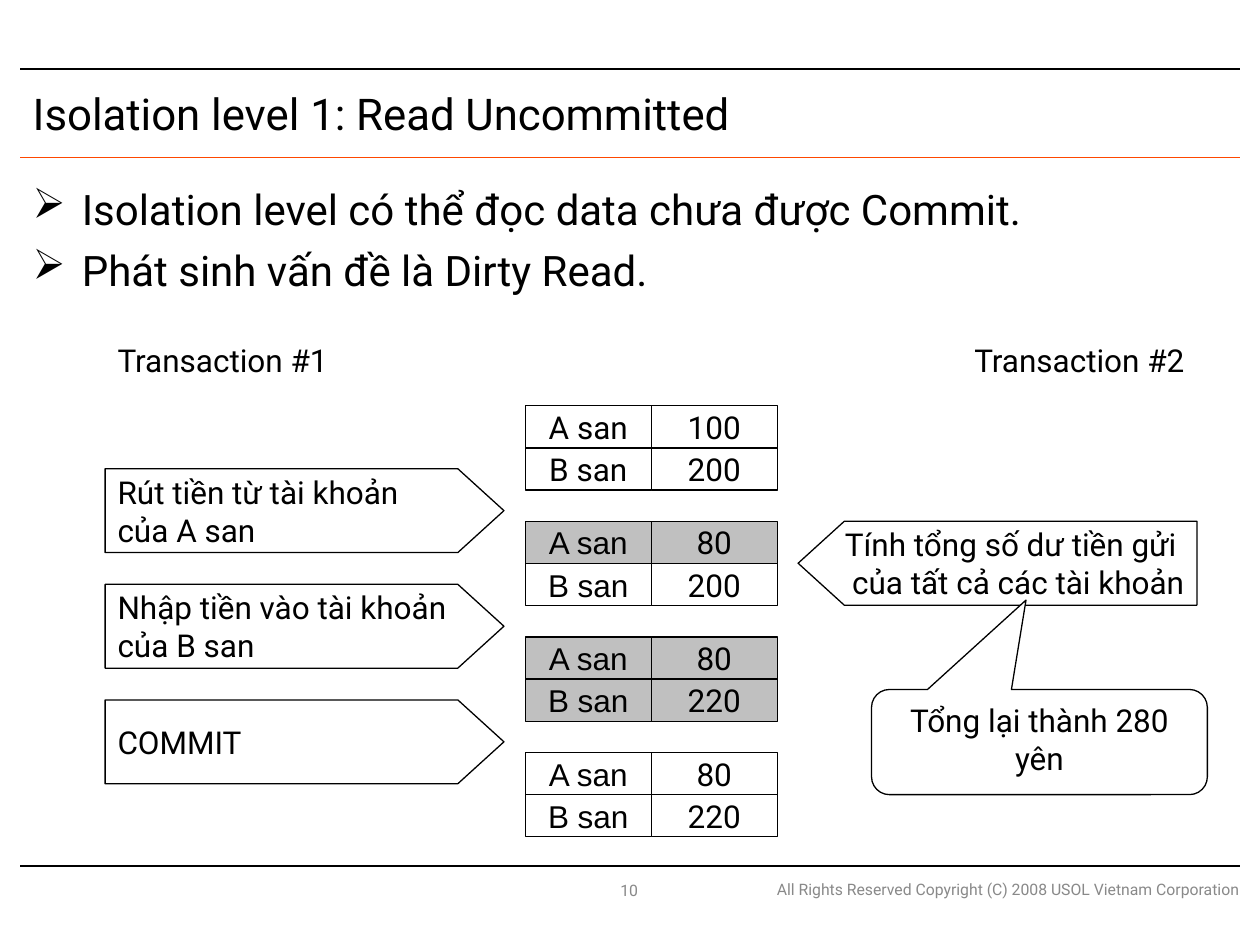
from dataclasses import dataclass

from lxml.etree import SubElement
from pptx import Presentation
from pptx.dml.color import RGBColor
from pptx.enum.shapes import MSO_CONNECTOR as Connector, MSO_SHAPE as Preset
from pptx.enum.text import MSO_ANCHOR as Anchor, PP_ALIGN as Align
from pptx.oxml.ns import qn
from pptx.util import Cm, Pt

BLACK, WHITE, GREY = "000000", "FFFFFF", "C0C0C0"
ORANGE, FOOTER_GREY = "FE4800", "898989"

# Shared geometry, in centimetres
STEP_PITCH = 2.33
CELL_WIDTH, CELL_HEIGHT = 2.54, 0.85
GRID_LEFT, GRID_TOP = 10.59, 8.18
ARROW_WIDTH, ARROW_HEIGHT, ARROW_TIP = 8.04, 1.69, 0.93
FIRST_LEFT, SECOND_LEFT = 2.12, 16.09
ARROW_TOP = 9.45


@dataclass
class Box:
    left: float
    top: float
    width: float
    height: float

    def lengths(self) -> tuple:
        return Cm(self.left), Cm(self.top), Cm(self.width), Cm(self.height)


@dataclass
class Style:
    size: float = 18
    color: str = BLACK
    align: Align = Align.LEFT
    anchor: Anchor = Anchor.MIDDLE
    font: str = "Roboto"


@dataclass
class Balance:
    account: str
    amount: str
    fill: str = WHITE


@dataclass
class State:
    rows: list[Balance]
    account_font: str = "Arial"


def rgb(color: str) -> RGBColor:
    return RGBColor.from_string(color)


def write(shape, lines: list[str], style: Style) -> None:
    frame = shape.text_frame
    frame.word_wrap = True
    frame.vertical_anchor = style.anchor
    for index, line in enumerate(lines):
        paragraph = frame.add_paragraph() if index else frame.paragraphs[0]
        paragraph.alignment = style.align
        run = paragraph.add_run()
        run.text = line
        run.font.name = style.font
        run.font.size = Pt(style.size)
        run.font.color.rgb = rgb(style.color)


def add_text(slide, box: Box, lines: list[str], style: Style):
    shape = slide.shapes.add_textbox(*box.lengths())
    write(shape, lines, style)
    return shape


def outline(shape, fill: str = WHITE) -> None:
    shape.shadow.inherit = False
    shape.fill.solid()
    shape.fill.fore_color.rgb = rgb(fill)
    shape.line.color.rgb = rgb(BLACK)
    shape.line.width = Pt(0.75)


def add_rule(slide, top: float, color: str) -> None:
    line = slide.shapes.add_connector(
        Connector.STRAIGHT, Cm(0.41), Cm(top), Cm(25), Cm(top))
    line.line.color.rgb = rgb(color)
    line.line.width = Pt(0.75)
    SubElement(line._element.spPr, qn("a:effectLst"))


def add_bullets(slide, box: Box, lines: list[str]) -> None:
    shape = add_text(slide, box, lines, Style(24, anchor=Anchor.TOP))
    for index, paragraph in enumerate(shape.text_frame.paragraphs):
        if index:
            paragraph.space_before = Pt(6)
        properties = paragraph._p.get_or_add_pPr()
        properties.set("marL", str(Cm(0.99)))
        properties.set("indent", str(-Cm(0.99)))
        SubElement(properties, qn("a:buChar"), char="➢")


def add_cell(slide, box: Box, text: str, fill: str, font: str) -> None:
    cell = slide.shapes.add_shape(Preset.RECTANGLE, *box.lengths())
    outline(cell, fill)
    write(cell, [text], Style(align=Align.CENTER, font=font))


def add_state(slide, top: float, state: State) -> None:
    for row, balance in enumerate(state.rows):
        cells = [(balance.account, state.account_font),
                 (balance.amount, "Roboto")]
        for column, (text, font) in enumerate(cells):
            box = Box(GRID_LEFT + column * CELL_WIDTH,
                      top + row * CELL_HEIGHT, CELL_WIDTH, CELL_HEIGHT)
            add_cell(slide, box, text, balance.fill, font)


def add_arrow(slide, left: float, top: float, lines: list[str],
              points_right: bool = True) -> None:
    right = left + ARROW_WIDTH
    if points_right:
        base, shoulder, tip, align = left, right - ARROW_TIP, right, Align.LEFT
    else:
        base, shoulder, tip, align = right, left + ARROW_TIP, left, Align.RIGHT
    bottom = top + ARROW_HEIGHT
    corners = [(shoulder, top), (tip, top + ARROW_HEIGHT / 2),
               (shoulder, bottom), (base, bottom)]
    builder = slide.shapes.build_freeform(Cm(base), Cm(top))
    builder.add_line_segments([(Cm(x), Cm(y)) for x, y in corners])
    arrow = builder.convert_to_shape()
    outline(arrow)
    write(arrow, lines, Style(align=align))


def main() -> None:
    presentation = Presentation()
    presentation.slide_width, presentation.slide_height = Cm(25.4), Cm(19.05)
    slide = presentation.slides.add_slide(presentation.slide_layouts[6])

    # Rules, title and bullets
    for top, color in [(1.39, BLACK), (3.17, ORANGE), (17.46, BLACK)]:
        add_rule(slide, top, color)
    add_text(slide, Box(0.41, 1.58, 24.6, 1.39),
             ["Isolation level 1: Read Uncommitted"], Style(25))
    add_bullets(slide, Box(0.41, 3.58, 24.6, 13.49), [
        "Isolation level có thể đọc data chưa được Commit.",
        "Phát sinh vấn đề là Dirty Read."])

    # Footer
    add_text(slide, Box(15.29, 17.63, 9.93, 0.61),
             ["All Rights Reserved Copyright (C) 2008 USOL Vietnam Corporation"],
             Style(9, FOOTER_GREY, Align.RIGHT))
    add_text(slide, Box(10.31, 17.65, 4.75, 0.58), ["10"],
             Style(9, FOOTER_GREY, Align.CENTER))

    # Account balances after each step; changed rows are grey
    states = [
        State([Balance("A san", "100"), Balance("B san", "200")], "Roboto"),
        State([Balance("A san", "80", GREY), Balance("B san", "200")]),
        State([Balance("A san", "80", GREY), Balance("B san", "220", GREY)]),
        State([Balance("A san", "80"), Balance("B san", "220")]),
    ]
    for index, state in enumerate(states):
        add_state(slide, GRID_TOP + index * STEP_PITCH, state)

    # Steps of both transactions
    steps = [["Rút tiền từ tài khoản", "của A san"],
             ["Nhập tiền vào tài khoản", "của B san"],
             ["COMMIT"]]
    for index, lines in enumerate(steps):
        add_arrow(slide, FIRST_LEFT, ARROW_TOP + index * STEP_PITCH, lines)
    add_arrow(slide, SECOND_LEFT, GRID_TOP + STEP_PITCH,
              ["Tính tổng số dư tiền gửi ", "của tất cả các tài khoản"],
              points_right=False)

    # Transaction headings
    for left, text, align in [(FIRST_LEFT, "Transaction #1", Align.LEFT),
                              (SECOND_LEFT, "Transaction #2", Align.RIGHT)]:
        add_text(slide, Box(left, 6.76, ARROW_WIDTH, 1.02), [text],
                 Style(align=align, anchor=Anchor.TOP))

    # Result of the dirty read
    callout = slide.shapes.add_shape(
        Preset.ROUNDED_RECTANGULAR_CALLOUT, *Box(17.57, 13.9, 6.77, 2.12).lengths())
    for index, value in enumerate([-0.04, -1.35, 0.17]):
        callout.adjustments[index] = value
    outline(callout)
    write(callout, ["Tổng lại thành 280 yên"],
          Style(align=Align.CENTER, anchor=Anchor.TOP))

    presentation.save("out.pptx")


if __name__ == "__main__":
    main()
